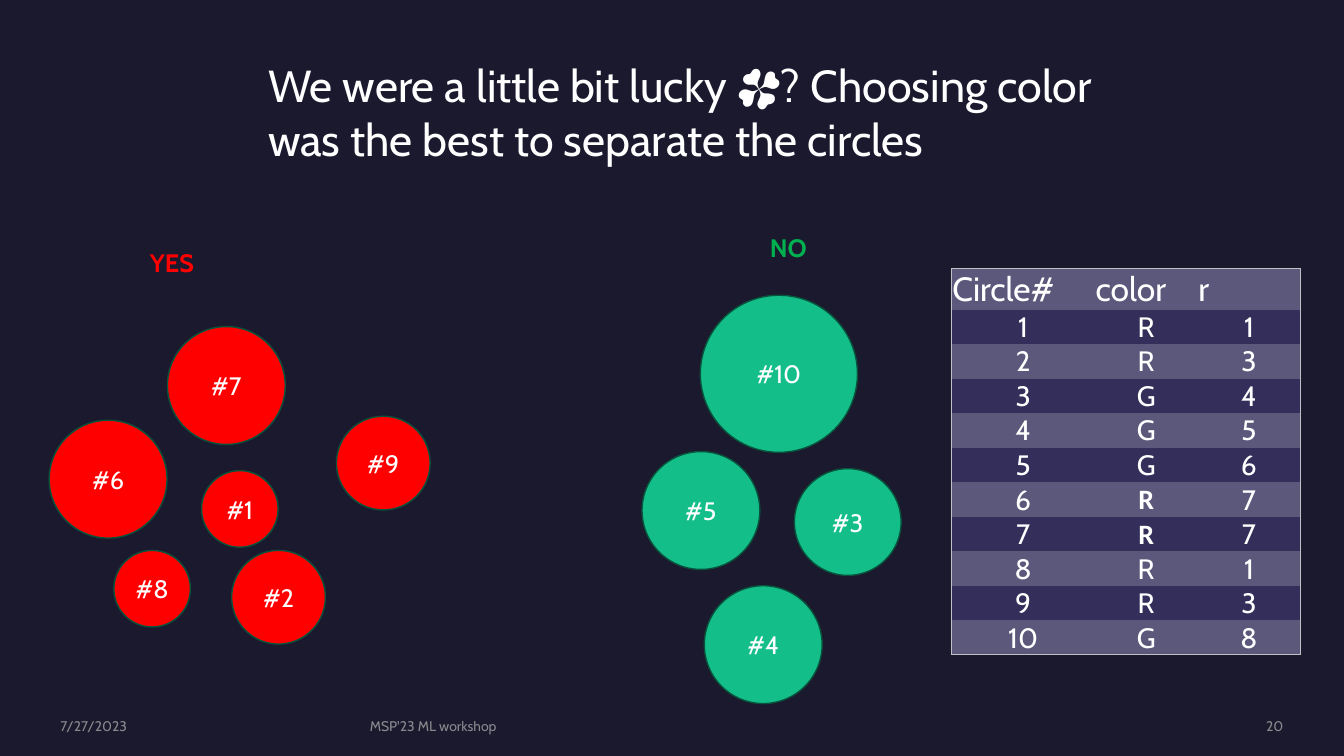
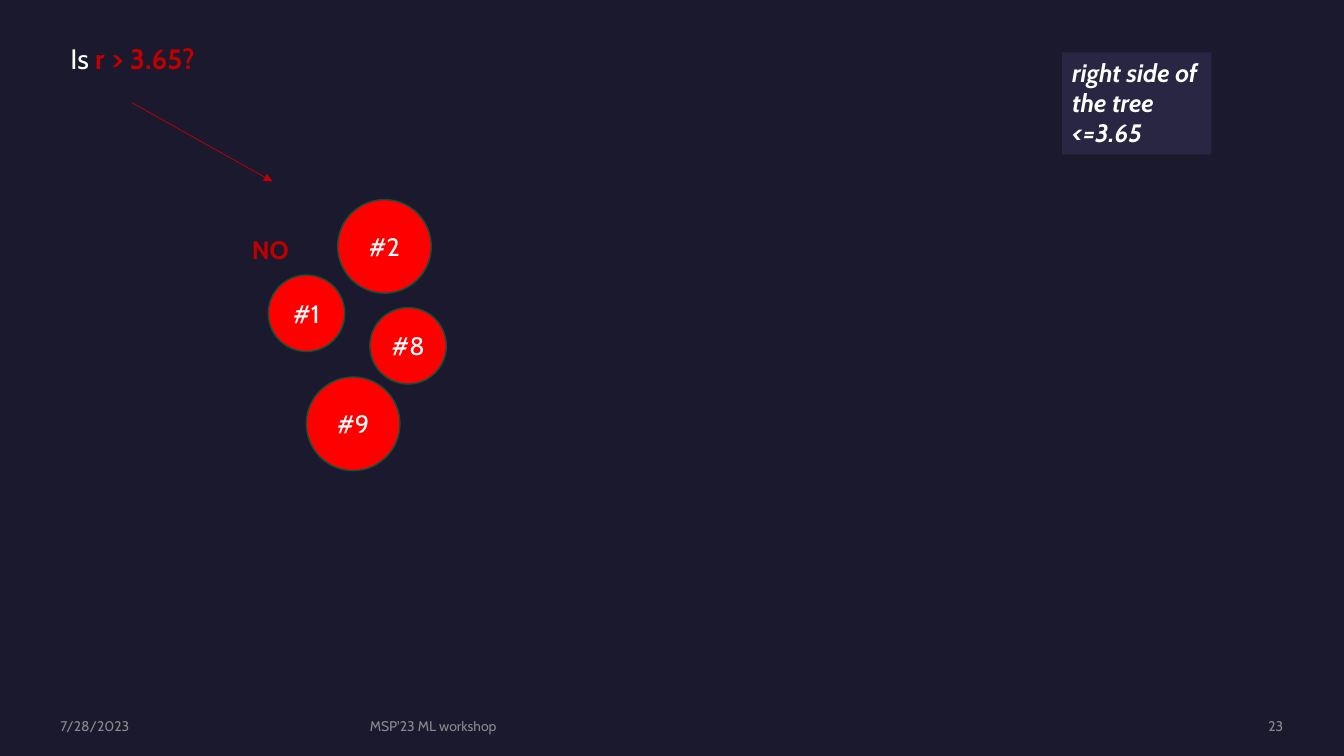
import dataclasses
import typing

import lxml.etree
import pptx
import pptx.dml.color
import pptx.enum.dml
import pptx.enum.shapes
import pptx.enum.text
import pptx.oxml.ns
import pptx.util

Cm = pptx.util.Cm
Pt = pptx.util.Pt
RGBColor = pptx.dml.color.RGBColor
Align = pptx.enum.text.PP_ALIGN
Anchor = pptx.enum.text.MSO_ANCHOR
ShapeKind = pptx.enum.shapes.MSO_SHAPE
qn = pptx.oxml.ns.qn

NAVY = RGBColor(0x1B, 0x19, 0x2E)
PANEL = RGBColor(0x29, 0x26, 0x44)
ROW_DARK = RGBColor(0x33, 0x2F, 0x5A)
ROW_LIGHT = RGBColor(0x5C, 0x58, 0x7B)
WHITE = RGBColor(0xFF, 0xFF, 0xFF)
GREY = RGBColor(0xA6, 0xA6, 0xA6)
BORDER = RGBColor(0xBF, 0xBF, 0xC4)
RED = RGBColor(0xFF, 0x00, 0x00)
DARK_RED = RGBColor(0xC0, 0x00, 0x00)
GREEN = RGBColor(0x00, 0xB0, 0x50)
TEAL = RGBColor(0x13, 0xBE, 0x89)
OUTLINE = RGBColor(0x08, 0x53, 0x3C)

FONT = "Cabin"
CIRCLE_FILL = {"R": RED, "G": TEAL}
# Diameter in centimetres for each value of r
DIAMETER = {1: 1.93, 3: 2.36, 4: 2.69, 5: 2.97, 6: 2.97, 7: 2.97, 8: 3.96}


class Area(typing.NamedTuple):
    """Left, top, width and height in centimetres."""
    left: float
    top: float
    width: float
    height: float

    def lengths(self) -> list[int]:
        return [Cm(value) for value in self]


class Sample(typing.NamedTuple):
    color: str
    r: int


class Circle(typing.NamedTuple):
    number: int
    left: float
    top: float


@dataclasses.dataclass(frozen=True)
class TextStyle:
    size: float
    color: RGBColor = WHITE
    bold: bool = False
    italic: bool = False
    align: Align = Align.LEFT
    font: str = FONT


SAMPLES = {
    number: Sample(color, r)
    for number, (color, r) in enumerate(zip("RRGGGRRRRG", (1, 3, 4, 5, 6, 7, 7, 1, 3, 8)), 1)
}
BOLD_SAMPLES = (6, 7)

SPLIT_BY_COLOR = (
    Circle(10, 17.65, 7.44), Circle(2, 5.84, 13.87), Circle(6, 1.24, 10.59),
    Circle(7, 4.22, 8.23), Circle(9, 8.48, 10.49), Circle(1, 5.08, 11.86),
    Circle(8, 2.87, 13.87), Circle(5, 16.18, 11.38), Circle(3, 20.02, 11.81),
    Circle(4, 17.75, 14.76),
)
SMALL_CIRCLES = (
    Circle(1, 6.76, 6.93), Circle(2, 8.51, 5.03),
    Circle(8, 9.32, 7.75), Circle(9, 7.72, 9.5),
)

FOOTER = TextStyle(10, GREY)
FOOTER_RIGHT = dataclasses.replace(FOOTER, align=Align.RIGHT)
CIRCLE_LABEL = TextStyle(18, align=Align.CENTER)
HEADER_CELL = TextStyle(24)
BODY_CELL = TextStyle(20, align=Align.CENTER)
BOLD_CELL = dataclasses.replace(BODY_CELL, bold=True, font="Calibri")


def write(frame, text: str, style: TextStyle, anchor: Anchor = Anchor.TOP):
    """Fill a text frame with one styled paragraph and return it."""
    frame.word_wrap = True
    frame.vertical_anchor = anchor
    para = frame.paragraphs[0]
    para.text = text
    para.alignment = style.align
    para.font.name = style.font
    para.font.size = Pt(style.size)
    para.font.bold = style.bold
    para.font.italic = style.italic
    para.font.color.rgb = style.color
    return para


def add_text(page, area: Area, text: str, style: TextStyle):
    box = page.shapes.add_textbox(*area.lengths())
    write(box.text_frame, text, style)
    return box


def add_footer(page, date: str, number: str) -> None:
    for left, width, text, style in (
        (1.52, 7.32, date, FOOTER),
        (9.32, 17.73, "MSP'23 ML workshop", FOOTER),
        (27.64, 4.7, number, FOOTER_RIGHT),
    ):
        box = page.shapes.add_textbox(*Area(left, 18.08, width, 0.43).lengths())
        frame = box.text_frame
        frame.margin_left = frame.margin_right = frame.margin_top = frame.margin_bottom = 0
        para = write(frame, text, style, Anchor.MIDDLE)
        for color in para._p.iter(qn("a:srgbClr")):
            lxml.etree.SubElement(color, qn("a:alpha"), val="80000")


def add_page(deck, date: str, number: str, title_area: Area, title: str, size: float):
    """Add a slide with its title and footer; return it with the title paragraph."""
    page = deck.slides.add_slide(deck.slide_layouts.get_by_name("Title Only"))
    heading = page.shapes.title
    heading.left, heading.top, heading.width, heading.height = title_area.lengths()
    heading.text_frame.auto_size = pptx.enum.text.MSO_AUTO_SIZE.NONE
    para = write(heading.text_frame, title, TextStyle(size))
    add_footer(page, date, number)
    return page, para


def add_circles(page, circles: typing.Iterable[Circle]) -> None:
    for circle in circles:
        sample = SAMPLES[circle.number]
        diameter = DIAMETER[sample.r]
        area = Area(circle.left, circle.top, diameter, diameter)
        shape = page.shapes.add_shape(ShapeKind.OVAL, *area.lengths())
        shape.shadow.inherit = False
        shape.fill.solid()
        shape.fill.fore_color.rgb = CIRCLE_FILL[sample.color]
        shape.line.color.rgb = OUTLINE
        shape.line.width = Pt(1)
        write(shape.text_frame, f"#{circle.number}", CIRCLE_LABEL, Anchor.MIDDLE)


def set_borders(cell, visible: dict[str, bool]) -> None:
    """Draw the visible sides (L, R, T, B) and clear the others."""
    properties = cell._tc.get_or_add_tcPr()
    for side, shown in visible.items():
        line = lxml.etree.SubElement(properties, qn(f"a:ln{side}"), w=str(Pt(0.5)))
        if shown:
            fill = lxml.etree.SubElement(line, qn("a:solidFill"))
            lxml.etree.SubElement(fill, qn("a:srgbClr"), val=str(BORDER))
        else:
            lxml.etree.SubElement(line, qn("a:noFill"))


def add_sample_table(page) -> None:
    rows = [("Circle#", "color", "r")]
    rows += [(str(number), sample.color, str(sample.r)) for number, sample in SAMPLES.items()]
    last_row, last_column = len(rows) - 1, len(rows[0]) - 1
    area = Area(23.98, 6.76, 8.79, 9.74)
    table = page.shapes.add_table(len(rows), len(rows[0]), *area.lengths()).table
    table.first_row = table.horz_banding = False
    for column, width in zip(table.columns, (3.61, 2.59, 2.59)):
        column.width = Cm(width)
    for row_index, values in enumerate(rows):
        is_header = row_index == 0
        table.rows[row_index].height = Cm(1.04 if is_header else 0.87)
        for column_index, value in enumerate(values):
            cell = table.cell(row_index, column_index)
            set_borders(cell, {
                "L": column_index == 0, "R": column_index == last_column,
                "T": is_header, "B": row_index == last_row,
            })
            cell.fill.solid()
            cell.fill.fore_color.rgb = ROW_DARK if row_index % 2 else ROW_LIGHT
            cell.margin_left = cell.margin_right = cell.margin_top = Cm(0.02)
            cell.margin_bottom = 0
            style = HEADER_CELL if is_header else BODY_CELL
            if row_index in BOLD_SAMPLES and column_index == 1:
                style = BOLD_CELL
            write(cell.text_frame, value, style)
            cell.vertical_anchor = Anchor.BOTTOM if is_header else Anchor.MIDDLE


def add_arrow(page, start: tuple[float, float], end: tuple[float, float]) -> None:
    arrow = page.shapes.add_connector(
        pptx.enum.shapes.MSO_CONNECTOR.STRAIGHT, *[Cm(value) for value in start + end])
    arrow.line.color.rgb = DARK_RED
    arrow.line.width = Pt(0.5)
    properties = arrow._element.spPr
    lxml.etree.SubElement(properties.find(qn("a:ln")), qn("a:tailEnd"), type="triangle")
    lxml.etree.SubElement(properties, qn("a:effectLst"))


def build_color_page(deck) -> None:
    page, _ = add_page(
        deck, "7/27/2023", "20", Area(6.5, 1.32, 21.62, 3),
        "We were a little bit lucky 🍀? Choosing color was the best to separate the circles", 32)
    add_circles(page, SPLIT_BY_COLOR)
    add_text(page, Area(3.53, 6.12, 2.97, 1.02), "YES", TextStyle(18, RED, bold=True))
    add_text(page, Area(19.15, 5.74, 2.67, 1.02), "NO", TextStyle(18, GREEN, bold=True))
    add_sample_table(page)


def build_radius_page(deck) -> None:
    page, title = add_page(deck, "7/28/2023", "23", Area(1.52, 0.91, 9.12, 1.12), "Is ", 20)
    question = title.add_run()
    question.text = "r > 3.65?"
    question.font.bold = True
    question.font.color.rgb = DARK_RED

    add_arrow(page, (3.33, 2.59), (6.86, 4.57))
    add_text(page, Area(6.1, 5.77, 1.63, 1.02), "NO", TextStyle(18, DARK_RED, bold=True))
    add_circles(page, SMALL_CIRCLES)

    # Note about the branch of the tree
    note = page.shapes.add_shape(ShapeKind.RECTANGLE, *Area(26.77, 1.32, 3.76, 2.57).lengths())
    note.shadow.inherit = False
    note.fill.solid()
    note.fill.fore_color.rgb = PANEL
    note.line.fill.background()
    write(note.text_frame, "right side of the tree <=3.65",
          TextStyle(18, bold=True, italic=True))


def main() -> None:
    deck = pptx.Presentation()
    deck.slide_width, deck.slide_height = Cm(33.87), Cm(19.05)
    background = deck.slide_master.background.fill
    background.solid()
    background.fore_color.rgb = NAVY
    build_color_page(deck)
    build_radius_page(deck)
    deck.save("out.pptx")


if __name__ == "__main__":
    main()
